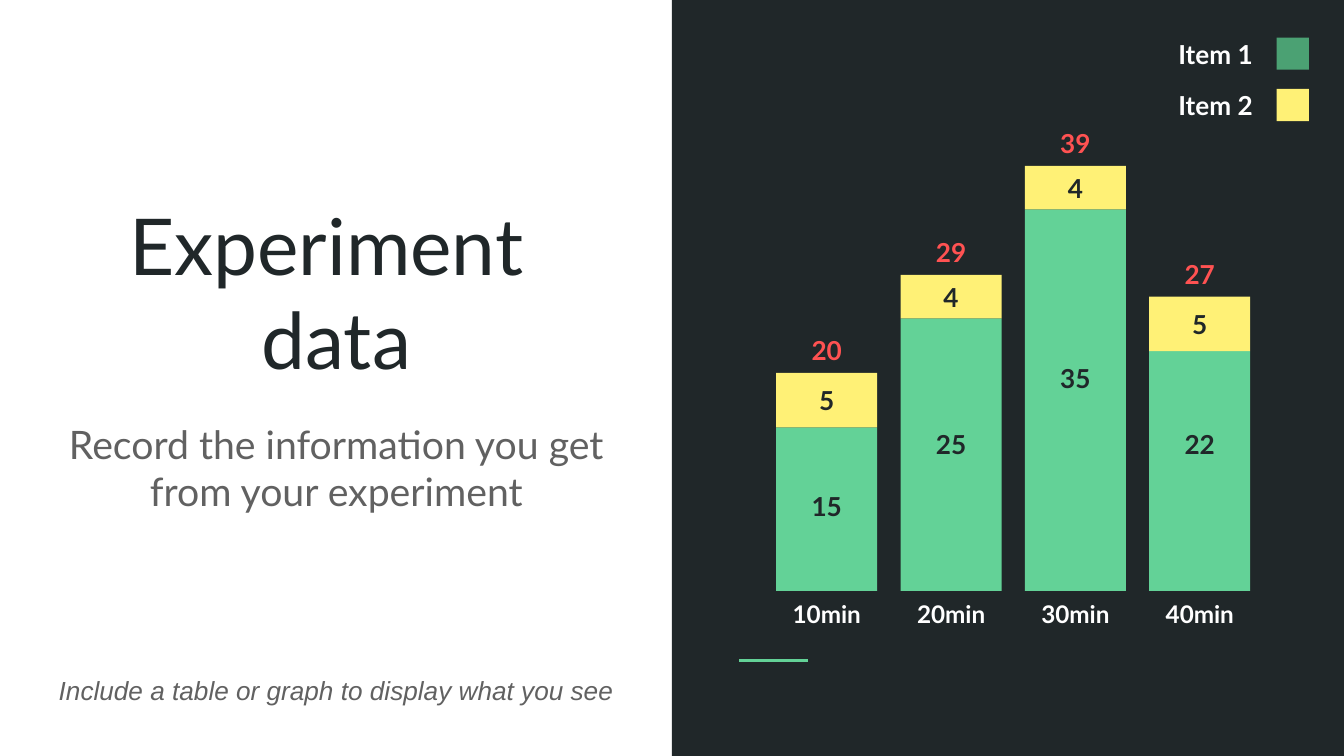
from lxml import etree
from pptx import Presentation
from pptx.dml.color import RGBColor
from pptx.enum.shapes import MSO_CONNECTOR, MSO_SHAPE
from pptx.enum.text import MSO_ANCHOR, MSO_AUTO_SIZE, PP_ALIGN
from pptx.oxml.ns import qn
from pptx.util import Cm, Pt

RECTANGLE = MSO_SHAPE.RECTANGLE
STRAIGHT = MSO_CONNECTOR.STRAIGHT
TOP, MIDDLE, BOTTOM = MSO_ANCHOR.TOP, MSO_ANCHOR.MIDDLE, MSO_ANCHOR.BOTTOM
LEFT, CENTER = PP_ALIGN.LEFT, PP_ALIGN.CENTER

WHITE = RGBColor(0xFF, 0xFF, 0xFF)
DARK = RGBColor(0x20, 0x27, 0x29)
GRAY = RGBColor(0x61, 0x61, 0x61)
GREEN = RGBColor(0x63, 0xD2, 0x97)
DEEP_GREEN = RGBColor(0x4B, 0xA1, 0x73)
YELLOW = RGBColor(0xFF, 0xF1, 0x76)
RED = RGBColor(0xFF, 0x52, 0x52)

# All lengths are in centimetres
SLIDE_WIDTH, SLIDE_HEIGHT = 25.4, 14.29
TEXT_LEFT, TEXT_WIDTH = 0.74, 11.23
INSET = 0.25
BAR_LEFT, BAR_PITCH, BAR_WIDTH = 14.67, 2.35, 1.91
BASELINE = 11.17
UNIT_HEIGHT = 0.206
LABEL_HEIGHT = 0.87
SWATCH = 0.61

# Time, item 1, item 2, top of the item 1 label
MEASUREMENTS = [
    ("10min", 15, 5, 9.14),
    ("20min", 25, 4, 7.95),
    ("30min", 35, 4, 6.71),
    ("40min", 22, 5, 7.95),
]
LEGEND = [("Item 1", DEEP_GREEN), ("Item 2", YELLOW)]


def place(shape, left, top, width, height):
    shape.left, shape.top = Cm(left), Cm(top)
    shape.width, shape.height = Cm(width), Cm(height)


def write(shape, text, size, color, font="Lato", bold=False, italic=False,
          align=CENTER, anchor=MIDDLE):
    frame = shape.text_frame
    frame.text = text
    frame.word_wrap = True
    frame.auto_size = MSO_AUTO_SIZE.NONE
    frame.vertical_anchor = anchor
    frame.margin_left = frame.margin_right = Cm(INSET)
    frame.margin_top = frame.margin_bottom = Cm(INSET)
    for paragraph in frame.paragraphs:
        paragraph.alignment = align
        paragraph.space_before = Pt(0)
        paragraph.font.name = font
        paragraph.font.size = Pt(size)
        paragraph.font.bold = bold
        paragraph.font.italic = italic
        paragraph.font.color.rgb = color


def add_label(slide, text, left, top, width, height, size, color, **style):
    label = slide.shapes.add_textbox(Cm(left), Cm(top), Cm(width), Cm(height))
    write(label, text, size, color, **style)


def add_block(slide, left, top, width, height, color):
    block = slide.shapes.add_shape(RECTANGLE, Cm(left), Cm(top), Cm(width), Cm(height))
    block.shadow.inherit = False
    block.fill.solid()
    block.fill.fore_color.rgb = color
    block.line.fill.background()


def add_accent(slide, left, top, width):
    accent = slide.shapes.add_connector(
        STRAIGHT, Cm(left), Cm(top), Cm(left + width), Cm(top))
    accent.line.color.rgb = GREEN
    accent.line.width = Pt(1.5)
    etree.SubElement(accent.element.spPr, qn("a:effectLst"))


def add_bar(slide, left, time, item1, item2, item1_label_top):
    """One stacked bar with its values, total and time."""
    item1_top = BASELINE - item1 * UNIT_HEIGHT
    item2_height = item2 * UNIT_HEIGHT
    bar_top = item1_top - item2_height
    item2_label_top = bar_top + (item2_height - LABEL_HEIGHT) / 2

    add_block(slide, left, item1_top, BAR_WIDTH, item1 * UNIT_HEIGHT, GREEN)
    add_block(slide, left, bar_top, BAR_WIDTH, item2_height, YELLOW)
    labels = [
        (time, BASELINE, 13, WHITE),
        (str(item1 + item2), bar_top - LABEL_HEIGHT, 14, RED),
        (str(item2), item2_label_top, 14, DARK),
        (str(item1), item1_label_top, 14, DARK),
    ]
    for text, top, size, color in labels:
        add_label(slide, text, left, top, BAR_WIDTH, LABEL_HEIGHT, size, color, bold=True)


def main():
    prs = Presentation()
    prs.slide_width, prs.slide_height = Cm(SLIDE_WIDTH), Cm(SLIDE_HEIGHT)
    slide = prs.slides.add_slide(prs.slide_layouts[0])
    slide.background.fill.solid()
    slide.background.fill.fore_color.rgb = WHITE

    # Dark right half
    add_block(slide, SLIDE_WIDTH / 2, 0, SLIDE_WIDTH / 2, SLIDE_HEIGHT, DARK)
    add_accent(slide, 13.97, 12.48, 1.3)

    # Title, subtitle and note
    title, subtitle = slide.placeholders
    place(title, TEXT_LEFT, 3.35, TEXT_WIDTH, 4.19)
    write(title, "Experiment \ndata", 42, DARK, anchor=BOTTOM)
    place(subtitle, TEXT_LEFT, 7.7, TEXT_WIDTH, 3.73)
    write(subtitle, "Record the information you get from your experiment",
          21, GRAY, anchor=TOP)
    add_label(slide, "Include a table or graph to display what you see",
              TEXT_LEFT, 12.5, TEXT_WIDTH, 1.24, 14, GRAY,
              font="Arial", italic=True, anchor=TOP)

    # Stacked bars
    for index, measurement in enumerate(MEASUREMENTS):
        add_bar(slide, BAR_LEFT + index * BAR_PITCH, *measurement)

    # Legend
    for index, (item, color) in enumerate(LEGEND):
        top = 0.71 + index * 0.97
        add_label(slide, item, 22.02, top, 2.11, SWATCH, 14, WHITE,
                  bold=True, align=LEFT)
        add_block(slide, 24.13, top, SWATCH, SWATCH, color)

    prs.save("out.pptx")


if __name__ == "__main__":
    main()
